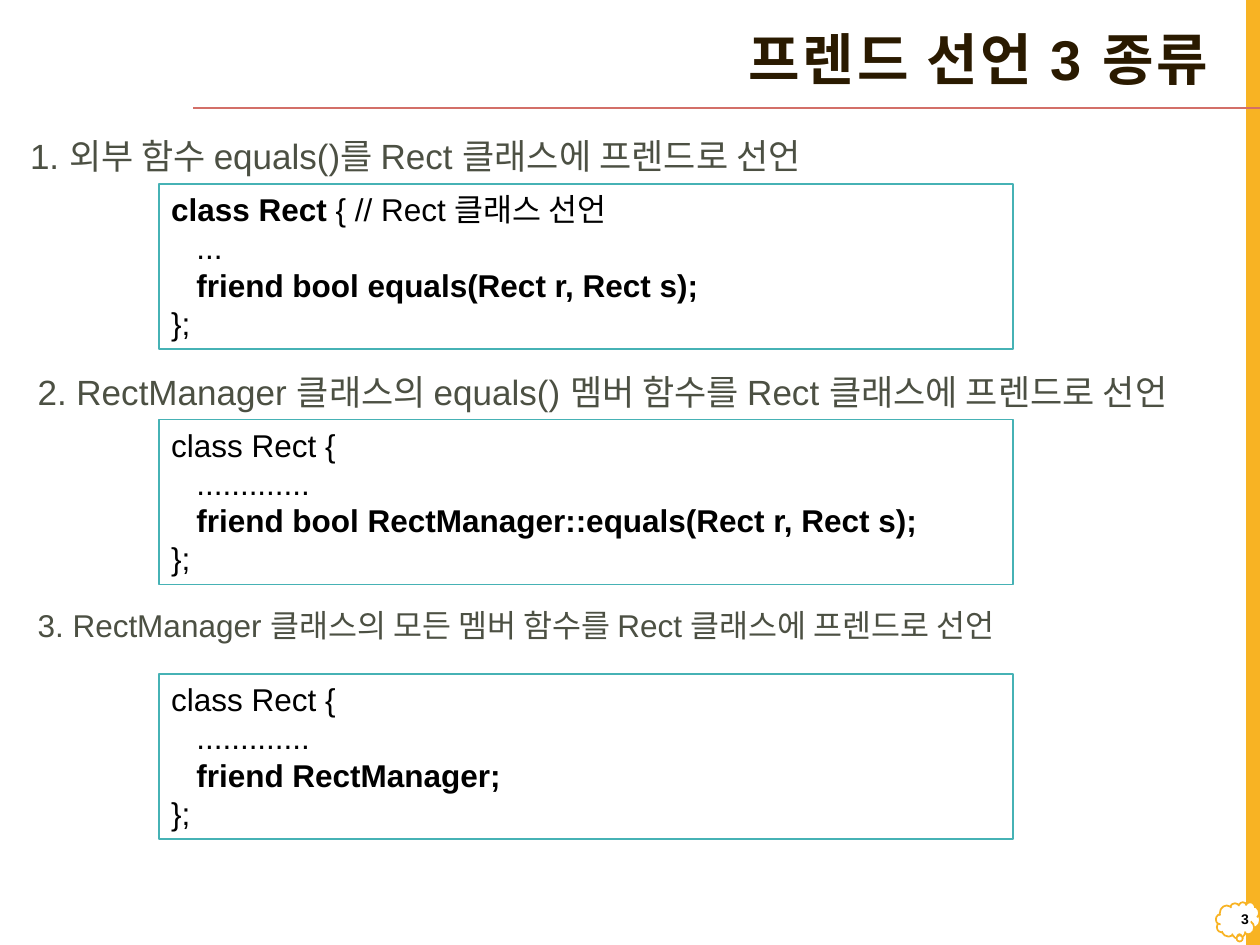
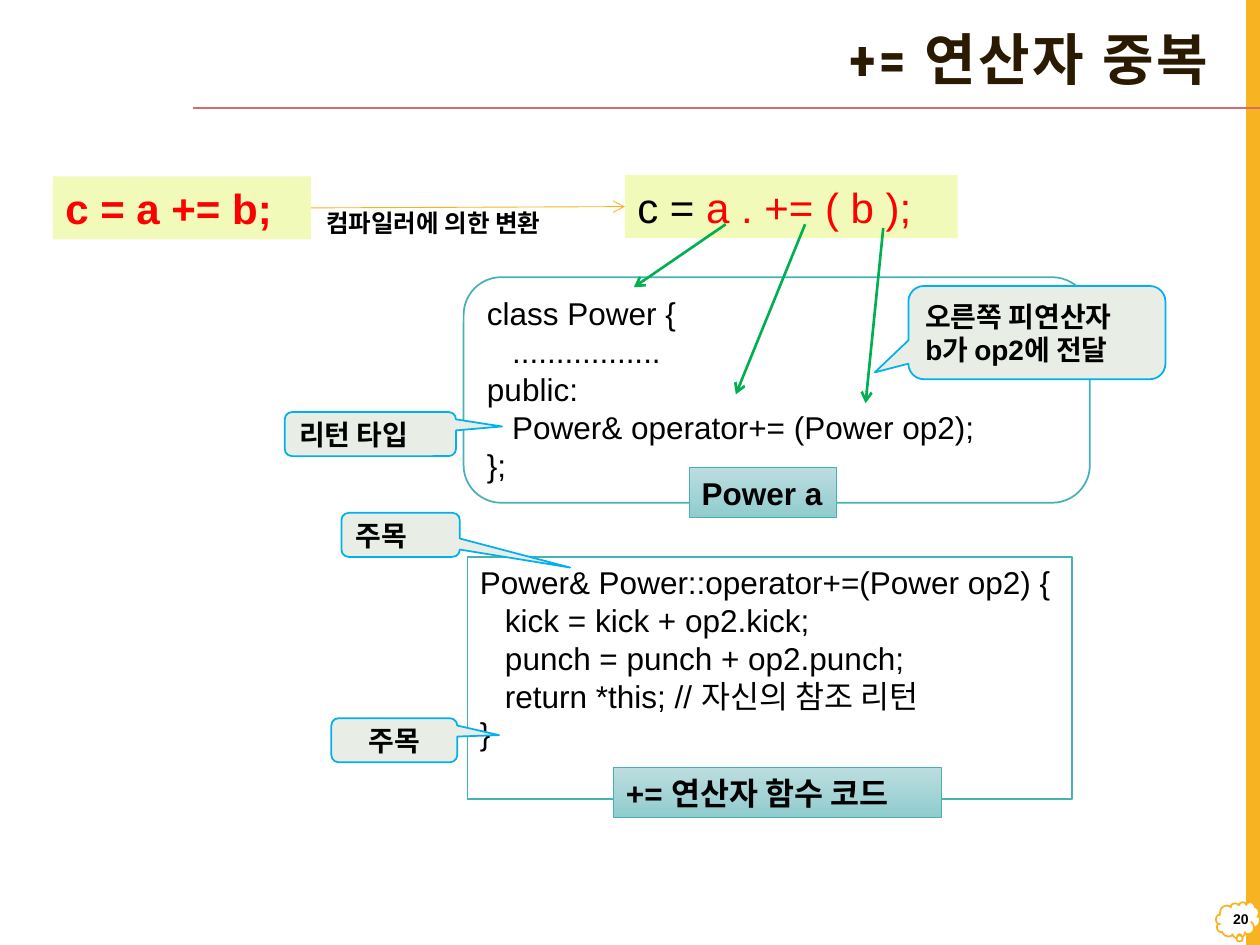
from dataclasses import dataclass

from lxml.etree import SubElement
from pptx import Presentation
from pptx.dml.color import RGBColor
from pptx.enum.shapes import MSO_CONNECTOR, MSO_SHAPE as SHAPE
from pptx.enum.text import MSO_ANCHOR as ANCHOR, PP_ALIGN as ALIGN
from pptx.oxml.ns import qn
from pptx.util import Inches, Pt


@dataclass(frozen=True)
class Theme:
    font: str = "Arial"
    title_ink: str = "2A1A00"
    heading_ink: str = "4C5043"
    ink: str = "000000"
    red: str = "FF0000"
    white: str = "FFFFFF"
    amber: str = "F8B323"
    rule: str = "D36F68"
    teal: str = "46B2B5"
    tag_top: str = "BCDDDF"
    tag_bottom: str = "90CCCE"
    lime: str = "F1FAB8"
    callout: str = "E8EEE5"
    sky: str = "00B0F0"
    green: str = "00B050"
    title_size: int = 32
    expression_size: int = 24
    heading_size: int = 20
    code_size: int = 18
    callout_size: int = 16
    note_size: int = 14
    number_size: int = 8


theme = Theme()


def add_box(page, at, lines=(), kind=SHAPE.RECTANGLE, fill=None, line=None, width=1,
            adjust=(), size=theme.code_size, color=theme.ink, bold=False,
            font=theme.font, align=ALIGN.LEFT, anchor=ANCHOR.TOP, right=0.1):
    """Draw a shape; each line is a list of (text, changes to its font) pairs."""
    box = page.shapes.add_shape(kind, *map(Inches, at))
    box.shadow.inherit = False
    for index, value in enumerate(adjust):
        box.adjustments[index] = value
    if fill is None:
        box.fill.background()
    elif isinstance(fill, tuple):
        box.fill.gradient()
        box.fill.gradient_angle = 270
        for stop, shade in zip(box.fill.gradient_stops, fill):
            stop.color.rgb = RGBColor.from_string(shade)
    else:
        box.fill.solid()
        box.fill.fore_color.rgb = RGBColor.from_string(fill)
    if line is None:
        box.line.fill.background()
    else:
        box.line.color.rgb = RGBColor.from_string(line)
        box.line.width = Pt(width)
    frame = box.text_frame
    frame.word_wrap = True
    frame.vertical_anchor = anchor
    frame.margin_right = Inches(right)
    for index, spans in enumerate(lines):
        para = frame.add_paragraph() if index else frame.paragraphs[0]
        para.alignment = align
        if spans[0][0].startswith("\t"):
            tabs = SubElement(para._p.get_or_add_pPr(), qn("a:tabLst"))
            SubElement(tabs, qn("a:tab"), pos=str(Inches(0.2)), algn="l")
        for text, changes in spans:
            span = para.add_run()
            span.text = text
            span.font.name = font
            span.font.size = Pt(size)
            span.font.bold = changes.get("bold", bold)
            span.font.color.rgb = RGBColor.from_string(changes.get("color", color))
    return box


def add_line(page, start, end, color, width, arrow=True):
    line = page.shapes.add_connector(
        MSO_CONNECTOR.STRAIGHT, *map(Inches, (*start, *end)))
    line.line.color.rgb = RGBColor.from_string(color)
    line.line.width = Pt(width)
    properties = line._element.spPr
    if arrow:
        SubElement(properties.find(qn("a:ln")), qn("a:tailEnd"), type="arrow")
    SubElement(properties, qn("a:effectLst"))


deck = Presentation()
deck.slide_width, deck.slide_height = Inches(10), Inches(7.5)
BOLD = {"bold": True}

# Shared band, page number, rule and title
pages = []
for title, title_font, number in (
    ("프렌드 선언 3 종류", theme.font, "3"),
    ("+= 연산자 중복", "Roboto Condensed", "20"),
):
    page = deck.slides.add_slide(deck.slide_layouts[6])
    add_box(page, (9.89, 0, 0.11, 7.5), fill=theme.amber)
    add_box(page, (9.65, 7.16, 0.35, 0.29), kind=SHAPE.CLOUD_CALLOUT,
            fill=theme.white, line=theme.amber, adjust=(0.034, 0.431))
    add_line(page, (10, 0.86), (1.53, 0.86), theme.rule, 1, arrow=False)
    heading = add_box(page, (1.32, 0.13, 8.37, 0.73), [[(title, {})]],
                      size=theme.title_size, color=theme.title_ink, bold=True,
                      font=title_font, align=ALIGN.RIGHT, anchor=ANCHOR.MIDDLE)
    para = heading.text_frame.paragraphs[0]
    para.line_spacing = 0.9
    para.runs[0].font._element.set("spc", "150")
    add_box(page, (9.66, 7.12, 0.35, 0.35), [[(number, {})]], size=theme.number_size,
            bold=True, align=ALIGN.RIGHT, anchor=ANCHOR.MIDDLE)
    pages.append(page)
friend_page, operator_page = pages

# Three kinds of friend declaration: heading and code
declarations = (
    ((0.14, 1.02), theme.heading_size,
     "1. 외부 함수 equals()를 Rect 클래스에 프렌드로 선언", 1.46,
     [("class Rect ", BOLD), ("{ // Rect 클래스 선언", {})],
     "...", "friend bool equals(Rect r, Rect s);"),
    ((0.2, 2.89), theme.heading_size,
     "2. RectManager 클래스의 equals() 멤버 함수를 Rect 클래스에 프렌드로 선언", 3.33,
     [("class Rect {", {})],
     ".............", "friend bool RectManager::equals(Rect r, Rect s);"),
    ((0.2, 4.76), theme.code_size,
     "3. RectManager 클래스의 모든 멤버 함수를 Rect 클래스에 프렌드로 선언", 5.35,
     [("class Rect {", {})],
     ".............", "friend RectManager;"),
)
for corner, size, heading, top, opening, dots, friend in declarations:
    code = [opening, [("\t" + dots, {})], [("\t" + friend, BOLD)], [("};", {})]]
    add_box(friend_page, (1.26, top, 6.78, 1.31), code,
            fill=theme.white, line=theme.teal)
    add_box(friend_page, (*corner, 9.84, 0.44), [[(heading, {})]],
            size=size, color=theme.heading_ink)

# Class and function code
class_code = ("class Power {", "\t.................", "public:",
              "\tPower& operator+= (Power op2);", "};")
function_code = ("Power& Power::operator+=(Power op2) {", "\tkick = kick + op2.kick;",
                 "\tpunch = punch + op2.punch;",
                 "\treturn *this; // 자신의 참조 리턴", "}")
for kind, at, code in (
    (SHAPE.ROUNDED_RECTANGLE, (3.68, 2.2, 4.97, 1.79), class_code),
    (SHAPE.RECTANGLE, (3.71, 4.42, 4.8, 1.92), function_code),
):
    add_box(operator_page, at, [[(text, {})] for text in code], kind=kind,
            fill=theme.white, line=theme.teal)

# Expression and its converted form
for at, spans in (
    ((0.42, 1.4, 2.05, 0.5), [("c = a += b;", {"color": theme.red, **BOLD})]),
    ((4.96, 1.39, 2.64, 0.5), [("c = ", {}), ("a . += ( b );", {"color": theme.red})]),
):
    add_box(operator_page, at, [spans], fill=theme.lime, size=theme.expression_size)
add_line(operator_page, (2.47, 1.65), (4.96, 1.64), theme.amber, 0.5)
add_box(operator_page, (2.49, 1.6, 2.26, 0.34), [[("컴파일러에 의한 변환", {})]],
        size=theme.note_size, bold=True)

# Tags on the code boxes
for at, text in (
    ((5.47, 3.71, 1.17, 0.4), "Power a"),
    ((4.87, 6.09, 2.6, 0.4), "+= 연산자 함수 코드"),
):
    add_box(operator_page, at, [[(text, {})]], fill=(theme.tag_top, theme.tag_bottom),
            line=theme.teal, width=0.5, bold=True, right=0)

# Arrows from the operands to the class
for start, end in (
    ((7.01, 1.81), (6.87, 3.2)),
    ((6.39, 1.78), (5.84, 3.13)),
    ((5.76, 1.78), (5.03, 2.28)),
):
    add_line(operator_page, start, end, theme.green, 1.5)

# Callouts
for at, pointer, align, text in (
    ((2.26, 3.27, 1.36, 0.35), (0.768, -0.172), ALIGN.LEFT, "리턴 타입"),
    ((7.21, 2.27, 2.04, 0.74), (-0.631, 0.427), ALIGN.LEFT,
     "오른쪽 피연산자\vb가 op2에 전달"),
    ((2.63, 5.7, 1, 0.35), (0.831, -0.116), ALIGN.CENTER, "주목"),
    ((2.71, 4.07, 0.94, 0.35), (1.431, 0.741), ALIGN.LEFT, "주목"),
):
    first, *rest = text.split("\v")
    callout = add_box(operator_page, at, [[(first, {})]],
                      kind=SHAPE.ROUNDED_RECTANGULAR_CALLOUT, fill=theme.callout,
                      line=theme.sky, adjust=(*pointer, 0.167),
                      size=theme.callout_size, bold=True, align=align,
                      anchor=ANCHOR.MIDDLE)
    para = callout.text_frame.paragraphs[0]
    for text in rest:
        para.add_line_break()
        span = para.add_run()
        span.text = text
        span.font.name = theme.font
        span.font.size = Pt(theme.callout_size)
        span.font.bold = True
        span.font.color.rgb = RGBColor.from_string(theme.ink)

deck.save("out.pptx")
